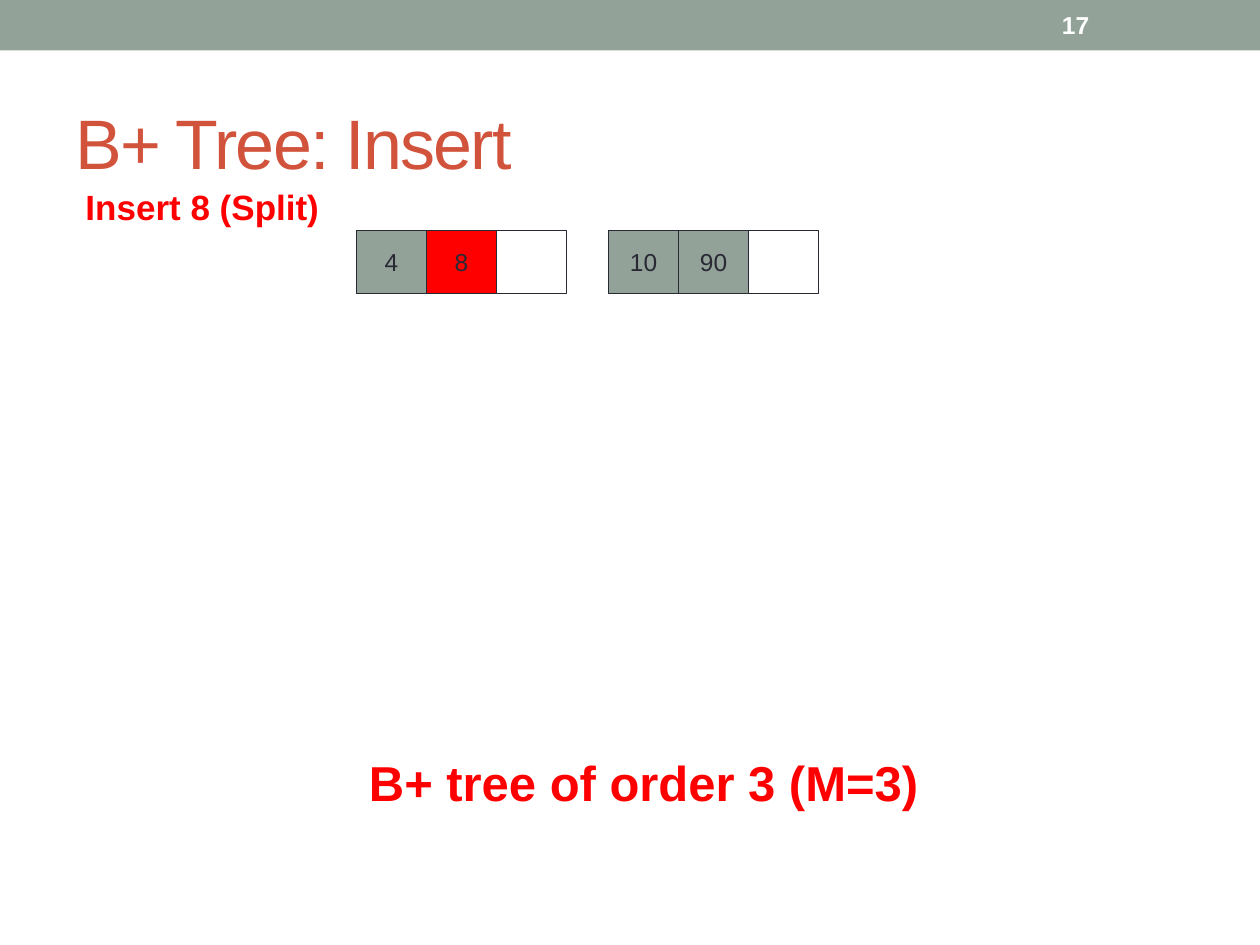
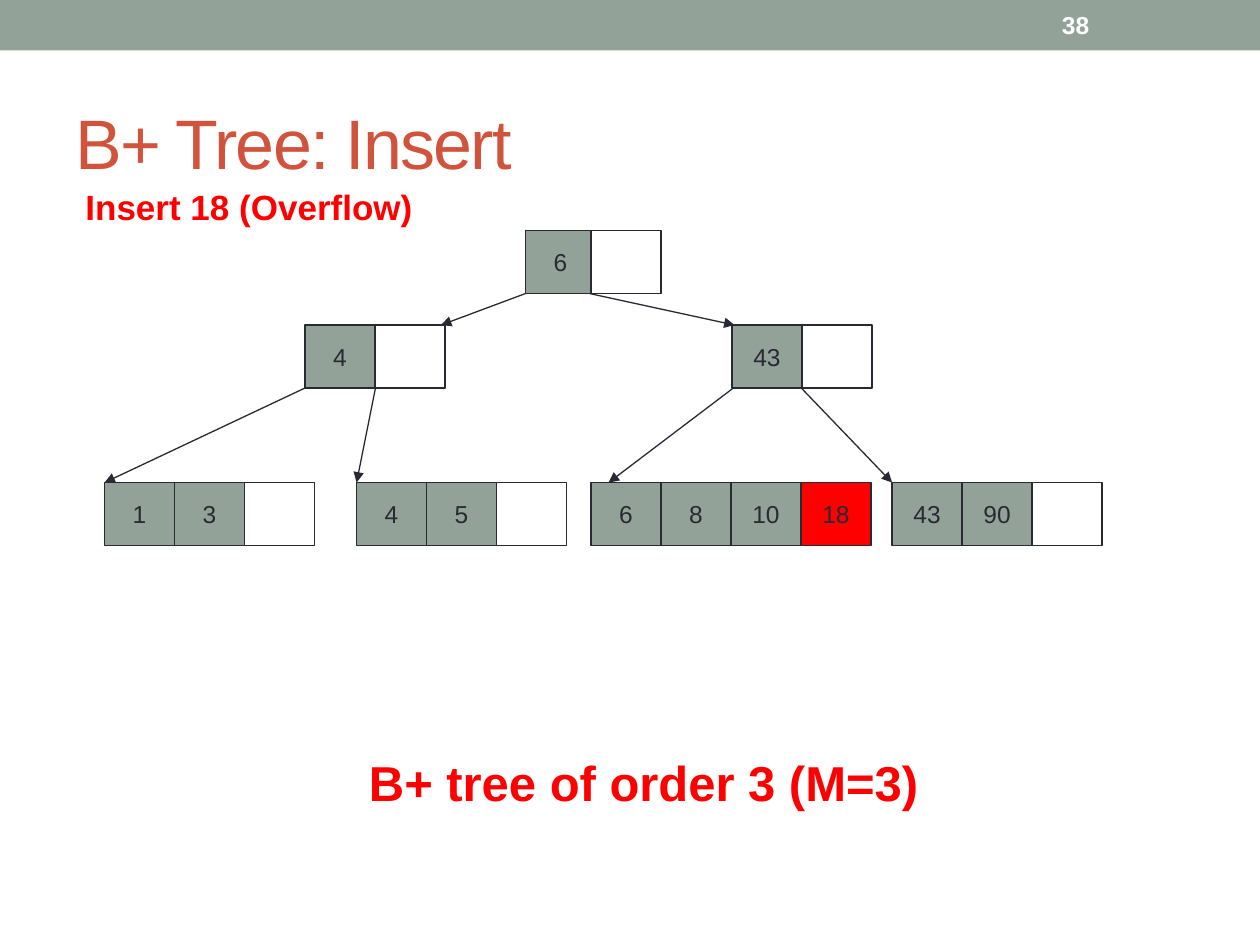
from pptx import Presentation
from pptx.dml.color import RGBColor
from pptx.enum import shapes, text
from pptx.oxml import ns, xmlchemy
from pptx.util import Inches, Pt

SAGE = RGBColor(0x93, 0xA2, 0x99)
RUST = RGBColor(0xD2, 0x53, 0x3C)
INK = RGBColor(0x29, 0x29, 0x34)
RED = RGBColor(0xFF, 0x00, 0x00)
WHITE = RGBColor(0xFF, 0xFF, 0xFF)

WIDE, TALL = 5 / 9, 0.5
ROOT, MID, LEAF = 1.83, 2.58, 3.83
LEFT, CENTER = text.PP_ALIGN.LEFT, text.PP_ALIGN.CENTER
TOP, MIDDLE = text.MSO_ANCHOR.TOP, text.MSO_ANCHOR.MIDDLE
FIT = text.MSO_AUTO_SIZE.SHAPE_TO_FIT_TEXT


class Deck:
    """Builds B+ tree slides in one shared style."""

    def __init__(self):
        self.prs = Presentation()
        self.prs.slide_width, self.prs.slide_height = Inches(10), Inches(7.5)
        self.slide = None

    def words(self, shape, line, size, color, bold=False, align=LEFT, **frame):
        box = shape.text_frame
        for key, value in frame.items():
            setattr(box, key, value)
        para = box.paragraphs[0]
        para.alignment = align
        run = para.add_run()
        run.text = line
        run.font.color.rgb = color
        for key, value in dict(name="Arial", size=Pt(size), bold=bold).items():
            setattr(run.font, key, value)
        return run

    def rect(self, home, spot, fill, line=None):
        shape = home.add_shape(shapes.MSO_SHAPE.RECTANGLE, *map(Inches, spot))
        shape.shadow.inherit = False
        shape.fill.solid()
        shape.fill.fore_color.rgb = fill
        if line is None:
            shape.line.fill.background()
        else:
            shape.line.color.rgb = line
            shape.line.width = Pt(0.75)
        return shape

    def title(self, line):
        shape = self.slide.shapes.title
        for key, value in dict(left=0.5, top=0.58, width=9, height=1.08).items():
            setattr(shape, key, Inches(value))
        run = self.words(shape, line, 40, RUST, vertical_anchor=MIDDLE)
        run._r.get_or_add_rPr().set("spc", "-100")

    def label(self, spot, line, size, color=RED, **frame):
        shape = self.slide.shapes.add_textbox(*map(Inches, spot))
        look = dict(word_wrap=False, auto_size=FIT, vertical_anchor=TOP) | frame
        self.words(shape, line, size, color, bold=True, **look)

    def page(self, number, step, width):
        self.slide = self.prs.slides.add_slide(self.prs.slide_layouts[5])
        self.rect(self.slide.shapes, (0, 0, 10, 0.4), SAGE)
        self.title("B+ Tree: Insert")
        self.label((8.33, 0.02, 1.17, 0.36), number, 14, WHITE, word_wrap=True,
                   auto_size=text.MSO_AUTO_SIZE.NONE, vertical_anchor=MIDDLE)
        self.label((2.83, 5.92, 4.93, 0.57), "B+ tree of order 3 (M=3)", 28)
        self.label((0.58, 1.42, width, 0.44), step, 20)

    def node(self, left, top, keys, fresh=None, pitch=WIDE):
        group = self.slide.shapes.add_group_shape()
        for col, key in enumerate(keys):
            fill = WHITE if not key else RED if key == fresh else SAGE
            spot = (left + col * pitch, top, WIDE, TALL)
            cell = self.rect(group.shapes, spot, fill, INK)
            if key:
                self.words(cell, key, 14, INK, align=CENTER,
                           word_wrap=False, vertical_anchor=MIDDLE)

    def arrow(self, start, end):
        link = self.slide.shapes.add_connector(
            shapes.MSO_CONNECTOR.STRAIGHT, *map(Inches, start + end))
        link.line.color.rgb = INK
        link.line.width = Pt(0.75)
        props = link._element.spPr
        head = xmlchemy.OxmlElement("a:tailEnd")
        head.set("type", "triangle")
        props.find(ns.qn("a:ln")).append(head)
        props.append(xmlchemy.OxmlElement("a:effectLst"))


def main():
    deck = Deck()

    deck.page("17", "Insert 8 (Split)", 2.11)
    deck.node(4.83, ROOT, ["10", "90", ""])
    deck.node(2.83, ROOT, ["4", "8", ""], fresh="8")

    deck.page("38", "Insert 18 (Overflow)", 2.9)
    deck.node(4.17, ROOT, ["6", ""], pitch=0.52)
    for left, key in ((2.42, "4"), (5.81, "43")):
        deck.node(left, MID, [key, ""])
    leaves = (
        (0.83, ["1", "3", ""]),
        (2.83, ["4", "5", ""]),
        (4.69, ["6", "8", "10", "18"]),
        (7.08, ["43", "90", ""]),
    )
    for left, keys in leaves:
        deck.node(left, LEAF, keys, fresh="18")
    for start, end in ((4.17, 3.5), (4.68, 5.83)):
        deck.arrow((start, ROOT + TALL), (end, MID))
    for start, end in ((2.42, 0.83), (2.98, 2.83), (5.82, 4.83), (6.36, 7.08)):
        deck.arrow((start, MID + TALL), (end, LEAF))

    deck.prs.save("out.pptx")


if __name__ == "__main__":
    main()
